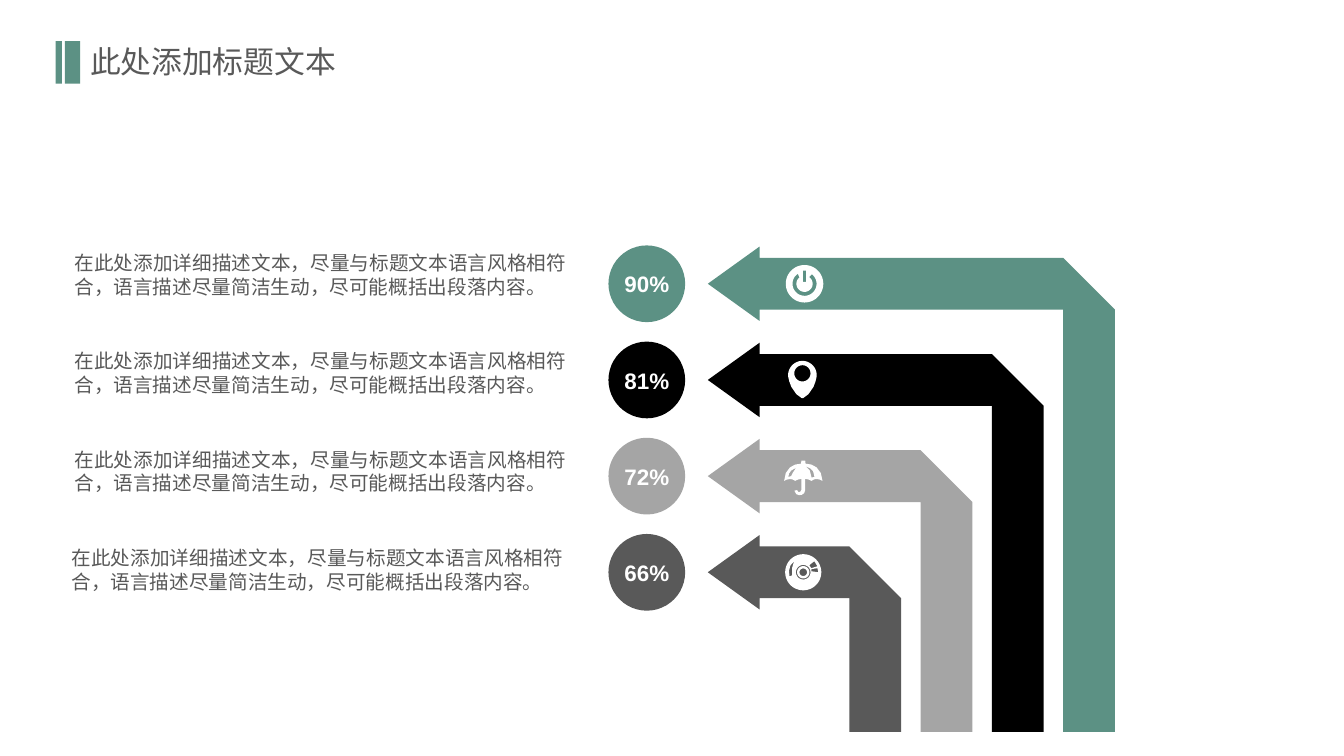
"""Build a slide of four bent arrows with percentages and descriptions."""
from dataclasses import dataclass
from math import cos, radians, sin

from lxml import etree
from pptx import Presentation
from pptx.dml.color import RGBColor
from pptx.enum.shapes import MSO_SHAPE
from pptx.enum.text import MSO_ANCHOR, MSO_AUTO_SIZE, PP_ALIGN
from pptx.oxml.ns import qn
from pptx.util import Pt

RECT, OVAL = MSO_SHAPE.RECTANGLE, MSO_SHAPE.OVAL
TOP, MIDDLE = MSO_ANCHOR.TOP, MSO_ANCHOR.MIDDLE
LEFT, CENTER, JUSTIFY = PP_ALIGN.LEFT, PP_ALIGN.CENTER, PP_ALIGN.JUSTIFY
FIXED = MSO_AUTO_SIZE.NONE

GREEN, BLACK, SILVER, GRAY, WHITE = "5C9184", "000000", "A5A5A5", "595959", "FFFFFF"
SANS, LATIN = "Noto Sans CJK JP", "Arial"
TITLE = "此处添加标题文本"
DETAIL = "在此处添加详细描述文本，尽量与标题文本语言风格相符合，语言描述尽量简洁生动，尽可能概括出段落内容。"

AXIS, PITCH = 202.7, 68.7
TIP, NECK, EDGE, STEP, FLOOR = 505.6, 542.6, 796.4, 50.9, 522.8
HEAD, HALF = 26.6, 18.5
DISC = 54.8
ICON = 573.8

Point = tuple[float, float]
Path = list[Point]


@dataclass
class Row:
    share: str
    color: str
    left: float
    icon: list[Path]


@dataclass
class Style:
    size: float
    color: str
    font: str
    align: PP_ALIGN
    bold: bool = False
    space: float = 1.0


HEADING = Style(22, GRAY, SANS, LEFT)
PROSE = Style(14, GRAY, SANS, JUSTIFY)
BADGE = Style(16, WHITE, LATIN, CENTER, True, 1.2)


def arc(x: float, y: float, r: float, start: int = 0, end: int = 360) -> Path:
    step = 6 if end > start else -6
    turns = [radians(a) for a in range(start, end + step, step)]
    return [(x + r * cos(a), y + r * sin(a)) for a in turns]


def mirror(half: Path, x: float = 0) -> Path:
    return half + [(2 * x - px, py) for px, py in reversed(half)]


def power() -> list[Path]:
    x = 0.9
    ring = arc(x, 0, 8.6, -52, 232) + arc(x, 0, 5.8, 232, -52)
    bar = mirror([(x - 1.2, -9.4), (x - 1.2, -1.4)], x)
    return [arc(x, 0, 13.4), ring, bar]


def pin() -> list[Path]:
    x = -0.6
    side = [(x + 9.4, 1), (x + 7.9, 5), (x + 4.3, 10.2), (x + 0.5, 13)]
    return [arc(x, -3.4, 10.2, 174, 366) + mirror(side, x), arc(x, -4.7, 5.8)]


def brolly() -> list[Path]:
    dome = mirror([(-5.8, 3.4), (-7.8, 2.3), (-9.8, 2.1), (-11.8, 2.5), (-13.7, 3.4),
                   (-12.5, -2.2), (-9.5, -6.2), (-5.9, -8.2), (-1.6, -8.9), (-1.4, -11)])
    hook = [(3.6, 2.4), (1.4, 2), (1.4, 10), (0.6, 12.2), (-1.2, 13.4), (-3, 13.6),
            (-5, 12.9), (-6.4, 10.4), (-4.4, 10), (-3.7, 11.2), (-2.2, 11.2),
            (-1.4, 10), (-1.4, 2), (-3.6, 2.4)]
    west = [(-10.7, 0.6), (-8.7, 0), (-7.4, -2.6), (-5, -6), (-8.6, -4), (-10.2, -1.8)]
    east = [(5.9, 1), (8, 0.6), (7, -3.4), (4.8, -5.6), (1.5, -7.2), (4.6, -4)]
    return [dome + hook, west, east]


def record() -> list[Path]:
    west = [(-6.5, -7.9), (-9.2, -4.8), (-10.2, -1), (-9.8, 2.9), (-7.9, 2.2), (-8, -3)]
    north = [(4.3, -5), (5.8, -2.9), (10.1, -4.3), (7.9, -7.9)]
    east = [(10.1, -2.9), (5.8, -2.2), (5.8, -0.7), (10.8, 0)]
    rings = [arc(0, 0, r) for r in (12.9, 5.2, 4.4, 2.7)]
    return rings + [west, north, east]


ROWS = [
    Row("90%", GREEN, 46.1, power()),
    Row("81%", BLACK, 46.1, pin()),
    Row("72%", SILVER, 46.1, brolly()),
    Row("66%", GRAY, 43.9, record()),
]


def rgb(code: str) -> RGBColor:
    return RGBColor.from_string(code)


def apply(item, values: dict) -> None:
    for name, value in values.items():
        setattr(item, name, value)


def paint(shape, color: str) -> None:
    shape.shadow.inherit = False
    shape.fill.solid()
    shape.fill.fore_color.rgb = rgb(color)
    shape.line.fill.background()


def write(shape, text: str, style: Style, frame: dict) -> None:
    body = shape.text_frame
    body.text = text
    apply(body, {"auto_size": FIXED, "vertical_anchor": TOP} | frame)
    para = body.paragraphs[0]
    apply(para, {"alignment": style.align, "line_spacing": style.space})
    run = para.runs[0]
    apply(run.font, {"size": Pt(style.size), "bold": style.bold, "name": style.font})
    run.font.color.rgb = rgb(style.color)
    asian = etree.SubElement(run.font._element, qn("a:ea"))
    asian.set("typeface", style.font)


def block(slide, kind: MSO_SHAPE, box: tuple, color: str):
    shape = slide.shapes.add_shape(kind, *map(Pt, box))
    paint(shape, color)
    return shape


def trace(slide, paths: list[Path], x: float, y: float, color: str) -> None:
    spots = [[(Pt(x + px), Pt(y + py)) for px, py in path] for path in paths]
    pen = slide.shapes.build_freeform(*spots[0][0], scale=1.0)
    pen.add_line_segments(spots[0][1:], close=True)
    for path in spots[1:]:
        pen.move_to(*path[0])
        pen.add_line_segments(path[1:], close=True)
    paint(pen.convert_to_shape(), color)


def arrow(edge: float, y: float) -> Path:
    inner = edge - 2 * HALF
    return [(TIP, y), (NECK, y - HEAD), (NECK, y - HALF), (inner, y - HALF),
            (edge, y + HALF), (edge, FLOOR), (inner, FLOOR), (inner, y + HALF),
            (NECK, y + HALF), (NECK, y + HEAD)]


def draw(slide, row: Row, rank: int) -> None:
    y = AXIS + rank * PITCH
    disc = block(slide, OVAL, (434.6, y - DISC / 2, DISC, DISC), row.color)
    inset = {"margin_left": 0, "margin_right": 0, "margin_top": 0, "margin_bottom": Pt(3.4)}
    write(disc, row.share, BADGE, inset | {"word_wrap": False, "vertical_anchor": MIDDLE})
    trace(slide, [arrow(EDGE - rank * STEP, y)], 0, 0, row.color)
    trace(slide, row.icon, ICON, y, WHITE)
    box = (row.left, 175.7 + rank * 70.3, 365.8, 41)
    write(slide.shapes.add_textbox(*map(Pt, box)), DETAIL, PROSE, {"word_wrap": True})


def main() -> None:
    deck = Presentation()
    apply(deck, {"slide_width": Pt(960), "slide_height": Pt(540)})
    slide = deck.slides.add_slide(deck.slide_layouts[5])
    for left, width in ((39.8, 4.5), (46.4, 10.9)):
        block(slide, RECT, (left, 29.4, width, 30.4), GREEN)
    title = slide.shapes.title
    apply(title, {"left": Pt(57.1), "top": Pt(26.6), "width": Pt(192.2), "height": Pt(33.9)})
    write(title, TITLE, HEADING, {"word_wrap": False})
    for rank, row in enumerate(ROWS):
        draw(slide, row, rank)
    deck.save("out.pptx")


if __name__ == "__main__":
    main()
